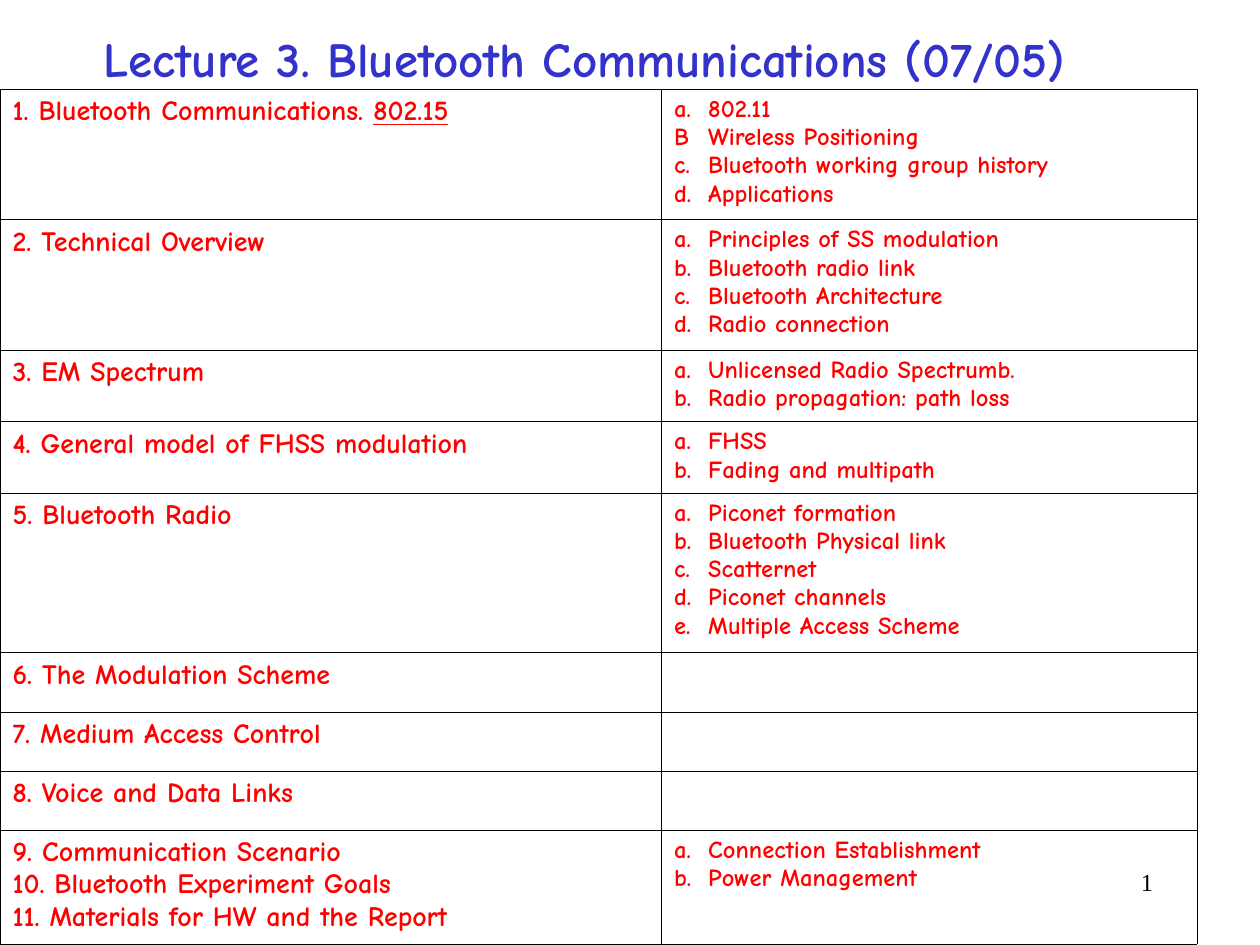
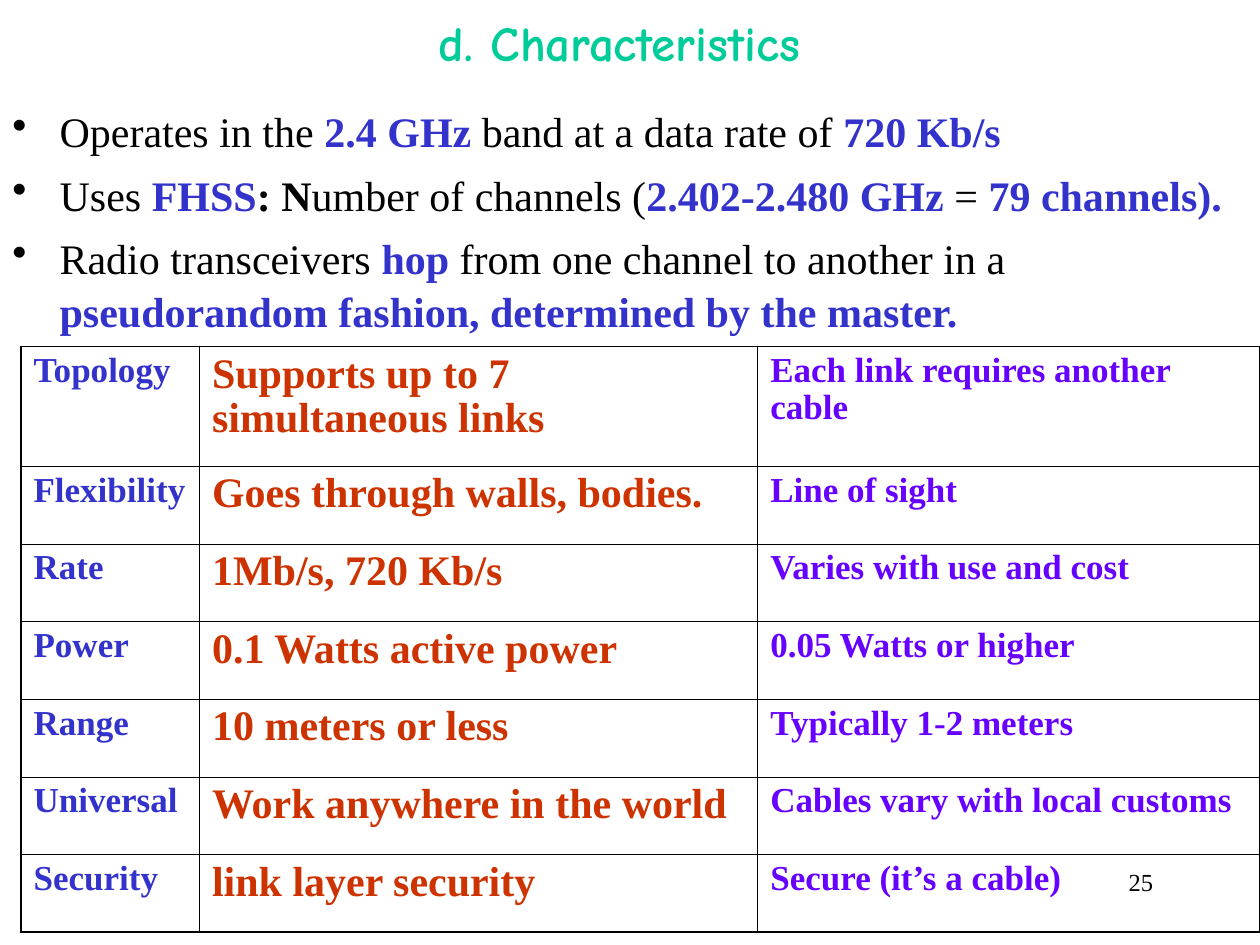
"""Build two lecture slides on Bluetooth: the outline and the characteristics."""
from dataclasses import dataclass, replace
from typing import NamedTuple

from lxml import etree
from pptx import Presentation
from pptx import util as u
from pptx.dml import color as dml
from pptx.enum import text as t
from pptx.oxml import ns

COMIC, TIMES = "Comic Neue", "Times New Roman"
BLACK, BLUE, GREEN, RED = "000000", "3333CC", "00CC99", "FF0000"
RUST, VIOLET = "CC3300", "6600FF"
THIN, THICK = 0.45, 1.08


@dataclass(frozen=True)
class Style:
    font: str
    size: float
    color: str
    bold: bool = False
    under: bool = False


class Run(NamedTuple):
    text: str
    style: Style


class Box(NamedTuple):
    left: float
    top: float
    width: float
    height: float


@dataclass(frozen=True)
class Para:
    runs: list[Run]
    hang: float = 0
    bullet: str = ""
    before: float = 0
    lines: float = 1


@dataclass(frozen=True)
class Grid:
    left: float
    top: float
    cols: list[float]
    rows: list[float]
    edge: float


TITLE = Style(COMIC, 28, BLUE, True)
PAGE = Style(TIMES, 14, BLACK)
TOPIC = Style(COMIC, 16, RED, True)
LINK = replace(TOPIC, under=True)
ITEM = replace(TOPIC, size=14)
PLAIN = Style(TIMES, 24, BLACK)
DARK = replace(PLAIN, bold=True)
KEY = replace(DARK, color=BLUE)
TRAITS = [Style(TIMES, 20, BLUE, True), Style(TIMES, 24, RUST, True),
          Style(TIMES, 20, VIOLET, True)]

OUTLINE = [
    (["1. Bluetooth Communications. "],
     ["a. 802.11", "B Wireless Positioning",
      "c. Bluetooth working group history", "d. Applications"]),
    (["2. Technical Overview"],
     ["a. Principles of SS modulation", "b. Bluetooth radio link",
      "c. Bluetooth Architecture", "d. Radio connection"]),
    (["3. EM Spectrum"],
     ["a. Unlicensed Radio Spectrumb.", "b. Radio propagation: path loss"]),
    (["4. General model of FHSS modulation"],
     ["a. FHSS", "b. Fading and multipath"]),
    (["5. Bluetooth Radio"],
     ["a. Piconet formation", "b. Bluetooth Physical link", "c. Scatternet",
      "d. Piconet channels", "e. Multiple Access Scheme"]),
    (["6. The Modulation Scheme"], []),
    (["7. Medium Access Control"], []),
    (["8. Voice and Data Links"], []),
    (["9. Communication Scenario", "10. Bluetooth Experiment Goals",
      "11. Materials for HW and the Report"],
     ["a. Connection Establishment", "b. Power Management"]),
]

FACTS = [
    [Run("Operates in the ", PLAIN), Run("2.4 GHz", KEY),
     Run(" band at a data rate of ", PLAIN), Run("720 Kb/s", KEY)],
    [Run("Uses ", PLAIN), Run("FHSS", KEY), Run(": N", DARK),
     Run("umber of channels (", PLAIN), Run("2.402-2.480 GHz", KEY),
     Run(" = ", PLAIN), Run("79 channels).", KEY)],
    [Run("Radio transceivers ", PLAIN), Run("hop", KEY),
     Run(" from one channel to another in a ", PLAIN),
     Run("pseudorandom fashion, determined by the master.", KEY)],
]

VERSUS = [
    ("Topology", "Supports up to 7 simultaneous links",
     "Each link requires another cable"),
    ("Flexibility", "Goes through walls, bodies.", "Line of sight"),
    ("Rate", "1Mb/s, 720 Kb/s", "Varies with use and cost"),
    ("Power", "0.1 Watts active power", "0.05 Watts or higher"),
    ("Range", "10 meters or less", "Typically 1-2 meters"),
    ("Universal", "Work anywhere in the world",
     "Cables vary with local customs"),
    ("Security", "link layer security", "Secure (it’s a cable)"),
]


def rgb(code: str) -> dml.RGBColor:
    return dml.RGBColor.from_string(code)


def paint(font, style: Style) -> None:
    font.name, font.size = style.font, u.Pt(style.size)
    font.bold, font.underline = style.bold, style.under
    font.color.rgb = rgb(style.color)


def write(frame, paras: list[Para]) -> None:
    for n, para in enumerate(paras):
        line = frame.paragraphs[0] if n == 0 else frame.add_paragraph()
        props = line._p.get_or_add_pPr()
        if para.hang:
            props.set("marL", str(u.Pt(para.hang)))
            props.set("indent", str(-u.Pt(para.hang)))
        if para.bullet:
            mark = etree.SubElement(props, ns.qn("a:buChar"))
            mark.set("char", para.bullet)
        line.line_spacing = para.lines
        line.space_before = u.Pt(para.before if n else 0)
        for part in para.runs:
            run = line.add_run()
            run.text = part.text
            paint(run.font, part.style)


def place(shape, box: Box) -> None:
    shape.left, shape.top, shape.width, shape.height = map(u.Pt, box)


def label(slide, box: Box, paras: list[Para]):
    shape = slide.shapes.add_textbox(*map(u.Pt, box))
    shape.text_frame.word_wrap = True
    write(shape.text_frame, paras)
    return shape.text_frame


def start(deck, title: str, color: str, box: Box, page: str):
    slide = deck.slides.add_slide(deck.slide_layouts[5])
    head = slide.shapes.title
    place(head, box)
    frame = head.text_frame
    frame.auto_size = t.MSO_AUTO_SIZE.NONE
    frame.vertical_anchor = t.MSO_ANCHOR.MIDDLE
    write(frame, [Para([Run(title, replace(TITLE, color=color))])])
    frame.paragraphs[0].alignment = t.PP_ALIGN.CENTER
    foot = label(slide, Box(516, 492, 150, 36), [Para([Run(page, PAGE)])])
    foot.paragraphs[0].alignment = t.PP_ALIGN.RIGHT
    return slide


def rule(cell, side: str, width: float) -> None:
    line = etree.SubElement(cell._tc.get_or_add_tcPr(), ns.qn(f"a:ln{side}"))
    line.set("w", str(u.Pt(width)))
    fill = etree.SubElement(line, ns.qn("a:solidFill"))
    etree.SubElement(fill, ns.qn("a:srgbClr")).set("val", BLACK)


def table(slide, grid: Grid, cells: list[list[list[Para]]]) -> None:
    high, wide = len(grid.rows), len(grid.cols)
    box = Box(grid.left, grid.top, sum(grid.cols), sum(grid.rows))
    tab = slide.shapes.add_table(high, wide, *map(u.Pt, box)).table
    tab.first_row = tab.horz_banding = False
    for col, width in zip(tab.columns, grid.cols):
        col.width = u.Pt(width)
    for row, height in zip(tab.rows, grid.rows):
        row.height = u.Pt(height)
    for r, row in enumerate(cells):
        for c, paras in enumerate(row):
            cell = tab.cell(r, c)
            outer = {"L": c == 0, "R": c == wide - 1,
                     "T": r == 0, "B": r == high - 1}
            for side, rim in outer.items():
                rule(cell, side, grid.edge if rim else THIN)
            cell.fill.background()
            write(cell.text_frame, paras)


def outline(deck) -> None:
    slide = start(deck, "Lecture 3. Bluetooth Communications (07/05) ", BLUE,
                  Box(18, 18, 642, 30), "1")
    cells = [[[Para([Run(name, TOPIC)]) for name in names],
              [Para([Run("\t".join(item.split(" ", 1)), ITEM)], hang=19.5)
               for item in items]]
             for names, items in OUTLINE]
    cells[0][0][0].runs.append(Run("802.15", LINK))
    rows = [74.2, 74.2, 41, 40.8, 91.2] + [33.8] * 3 + [65]
    table(slide, Grid(0, 51, [378, 306], rows, THIN), cells)


def traits(deck) -> None:
    slide = start(deck, "d. Characteristics", GREEN, Box(48, 0, 612, 48), "25")
    facts = [Para(runs, 27, "•", 6, 1.05) for runs in FACTS]
    body = label(slide, Box(0, 54, 720, 486), facts)
    body.margin_top = u.Pt(5)
    cells = [[[Para([Run(word, style)], lines=0.95)]
              for word, style in zip(row, TRAITS)] for row in VERSUS]
    rows = [68.4] + [44.4] * 6
    table(slide, Grid(12, 198, [102, 319, 287], rows, THICK), cells)


def main() -> None:
    deck = Presentation()
    deck.slide_width, deck.slide_height = u.Pt(720), u.Pt(540)
    outline(deck)
    traits(deck)
    deck.save("out.pptx")


if __name__ == "__main__":
    main()
